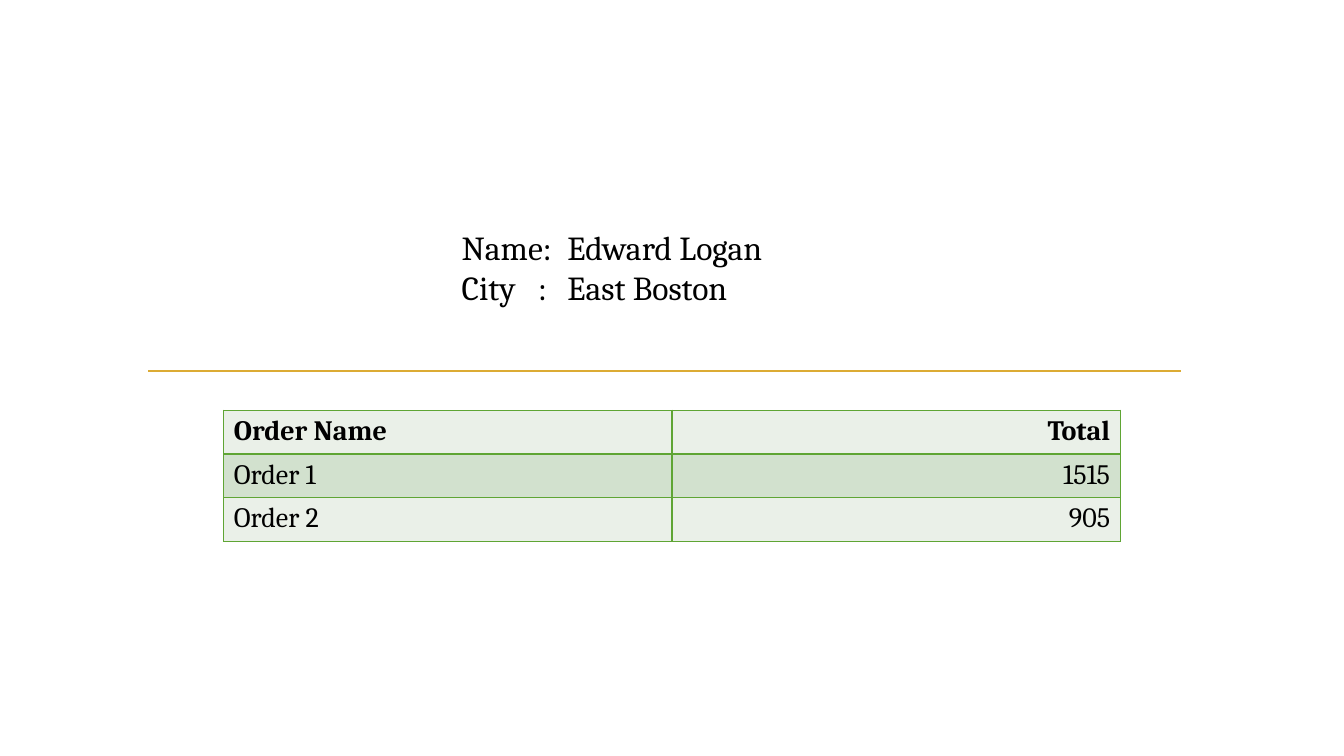
import pptx
import pptx.util
import pptx.dml.color
import pptx.enum.shapes
import pptx.enum.text
import pptx.oxml.ns
from lxml import etree
from pptx.util import Inches, Pt

BLACK = pptx.dml.color.RGBColor(0x00, 0x00, 0x00)
GOLD = pptx.dml.color.RGBColor(0xDC, 0xAB, 0x34)
GREEN = pptx.dml.color.RGBColor(0x5F, 0xA5, 0x34)
PALE_GREEN = pptx.dml.color.RGBColor(0xEA, 0xF0, 0xE8)
SOFT_GREEN = pptx.dml.color.RGBColor(0xD2, 0xE1, 0xCE)


def add_xml(parent, tag, **attributes):
    return etree.SubElement(parent, pptx.oxml.ns.qn(tag), **attributes)


class OrderSlide:
    """Holds the font and the slide; each method adds one kind of element."""

    def __init__(self, slide, font_name):
        self.slide = slide
        self.font_name = font_name

    def style(self, paragraph, size, bold=False):
        paragraph.font.name = self.font_name
        paragraph.font.size = Pt(size)
        paragraph.font.bold = bold
        paragraph.font.color.rgb = BLACK

    def add_text(self, left, top, width, height, lines, size, tab_stops):
        box = self.slide.shapes.add_textbox(
            Inches(left), Inches(top), Inches(width), Inches(height))
        frame = box.text_frame
        frame.word_wrap = True
        frame.text = "\n".join(lines)
        for paragraph in frame.paragraphs:
            # Tab stops go in before the font, as the schema orders them
            tabs = add_xml(paragraph._p.get_or_add_pPr(), "a:tabLst")
            for stop in tab_stops:
                add_xml(tabs, "a:tab", pos=str(Inches(stop)), algn="l")
            self.style(paragraph, size)

    def add_rule(self, left, right, y, color, weight):
        rule = self.slide.shapes.add_connector(
            pptx.enum.shapes.MSO_CONNECTOR.STRAIGHT,
            Inches(left), Inches(y), Inches(right), Inches(y))
        rule.line.color.rgb = color
        rule.line.width = Pt(weight)
        add_xml(rule._element.spPr, "a:effectLst")

    def add_border(self, cell, color, weight):
        properties = cell._tc.get_or_add_tcPr()
        for position, side in enumerate(("a:lnL", "a:lnR", "a:lnT", "a:lnB")):
            line = add_xml(properties, side, w=str(Pt(weight)))
            properties.insert(position, line)
            add_xml(add_xml(line, "a:solidFill"), "a:srgbClr", val=str(color))

    def add_table(self, left, top, width, row_height, rows, size):
        table = self.slide.shapes.add_table(
            len(rows), len(rows[0]), Inches(left), Inches(top),
            Inches(width), Inches(row_height * len(rows))).table
        for row_index, row in enumerate(rows):
            for column_index, value in enumerate(row):
                cell = table.cell(row_index, column_index)
                cell.text = value
                cell.fill.solid()
                cell.fill.fore_color.rgb = SOFT_GREEN if row_index % 2 else PALE_GREEN
                self.add_border(cell, GREEN, 1)
                paragraph = cell.text_frame.paragraphs[0]
                self.style(paragraph, size, bold=row_index == 0)
                if column_index:
                    paragraph.alignment = pptx.enum.text.PP_ALIGN.RIGHT


def main():
    presentation = pptx.Presentation()
    presentation.slide_width = Inches(13.33)
    presentation.slide_height = Inches(7.5)
    blank_layout = presentation.slide_layouts[6]
    order = OrderSlide(presentation.slides.add_slide(blank_layout), "Cambria")

    # Customer
    customer = ["Name:\tEdward Logan", "City\t:\tEast Boston"]
    order.add_text(4.48, 2.2, 4.68, 1.31, customer, 24, tab_stops=(0.76, 1.05))

    # Divider
    order.add_rule(1.47, 11.71, 3.68, GOLD, 1.75)

    # Orders
    orders = [("Order Name", "Total"), ("Order 1", "1515"), ("Order 2", "905")]
    order.add_table(2.22, 4.07, 8.89, 0.41, orders, 20)

    presentation.save("out.pptx")


if __name__ == "__main__":
    main()
